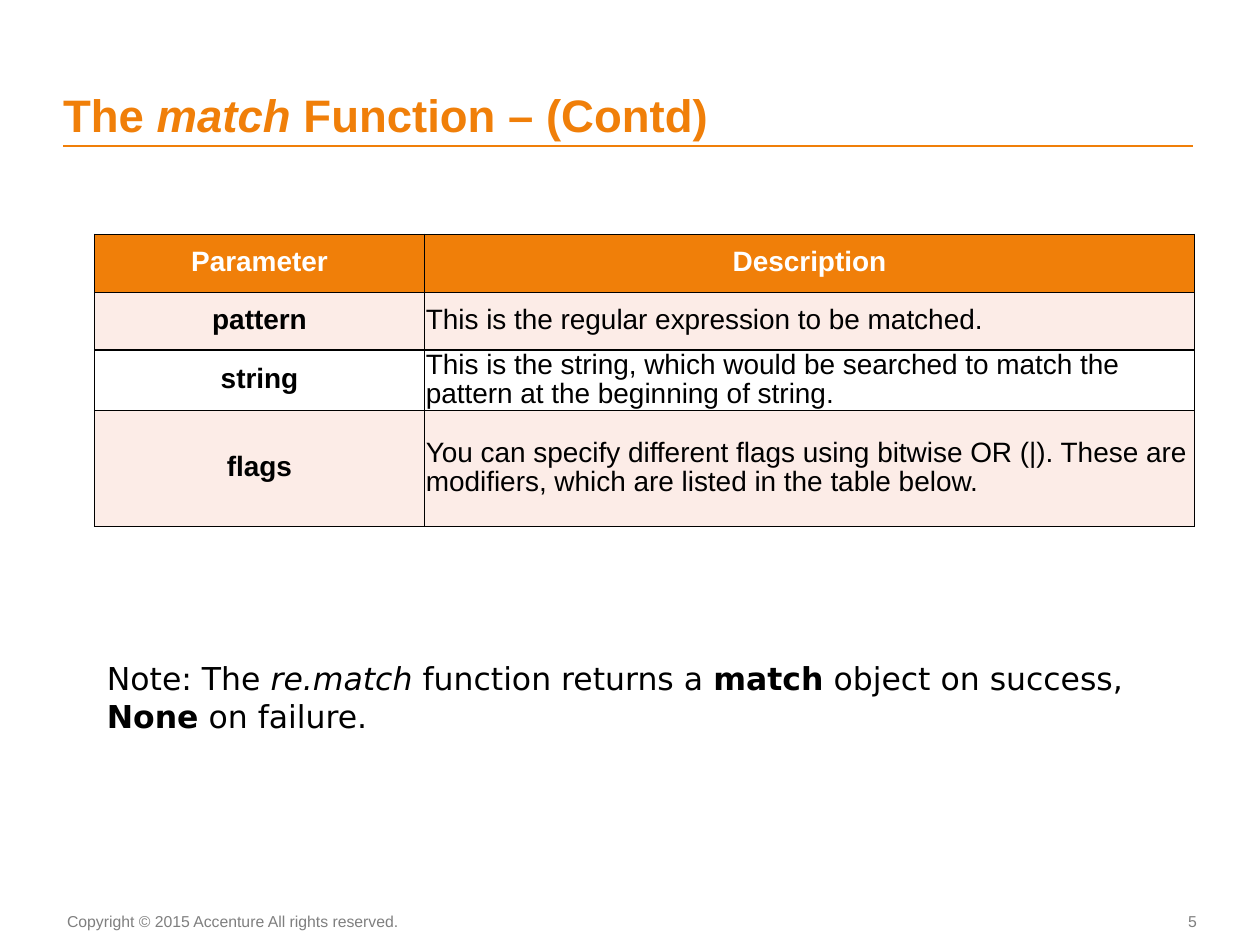
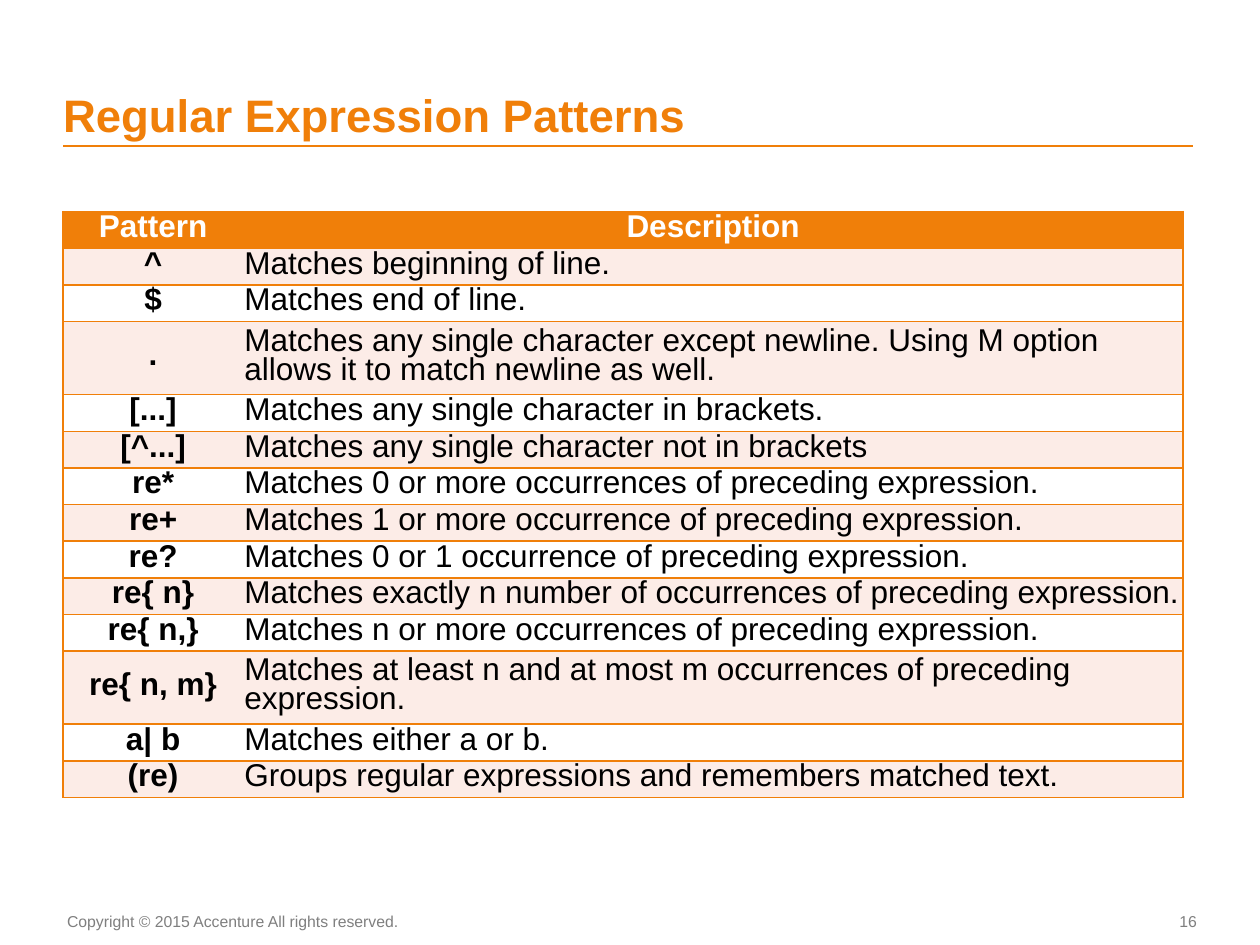
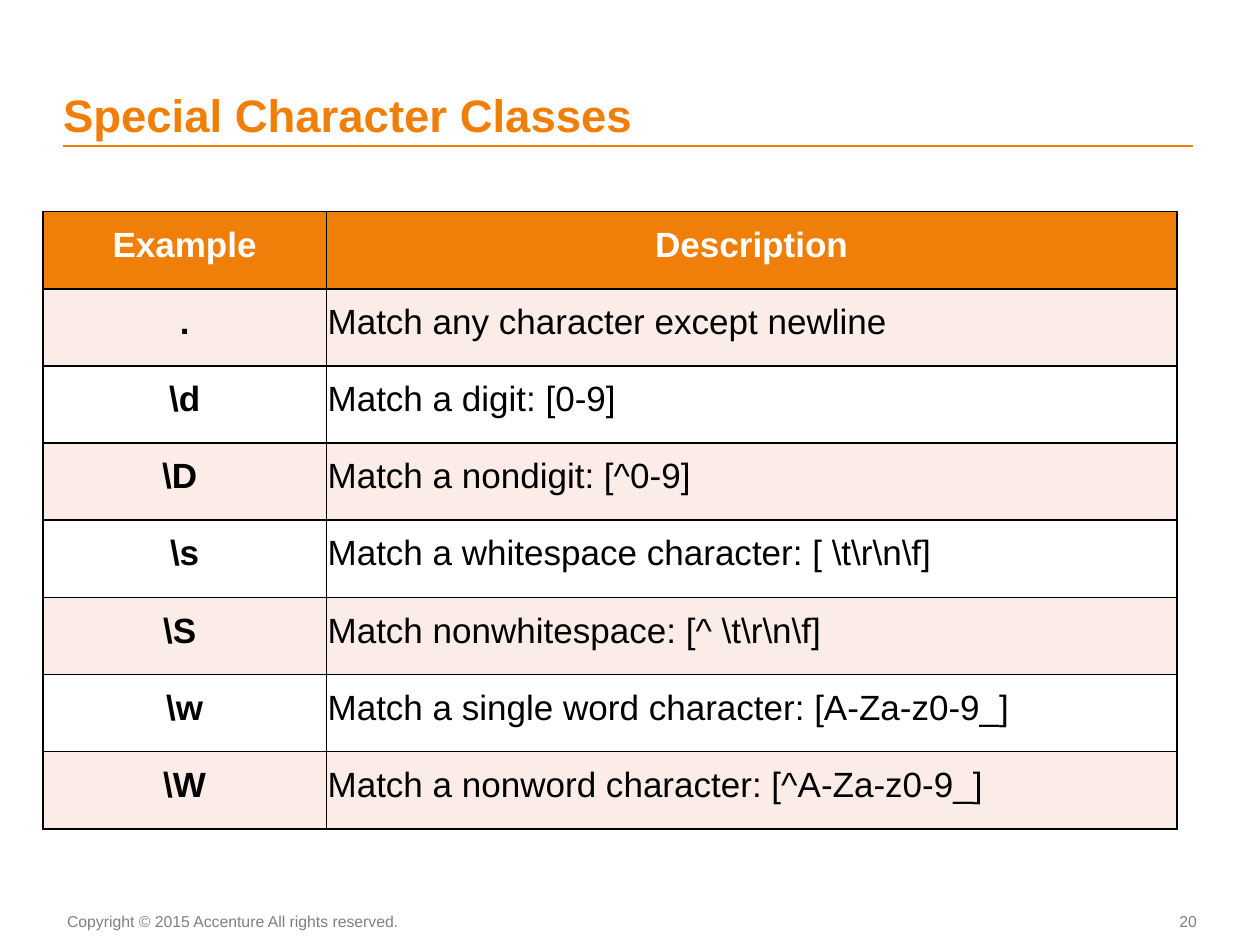
"""Build three slides about regular expressions in Python."""
import dataclasses

import pptx
import pptx.dml.color
import pptx.enum.shapes
import pptx.enum.text
import pptx.oxml
import pptx.oxml.ns
import pptx.util

Inches = pptx.util.Inches
Pt = pptx.util.Pt
Align = pptx.enum.text.PP_ALIGN
Anchor = pptx.enum.text.MSO_ANCHOR
AutoSize = pptx.enum.text.MSO_AUTO_SIZE
NAMESPACE = pptx.oxml.ns.nsdecls("a")


@dataclasses.dataclass(frozen=True)
class Theme:
    accent: str = "F07F09"
    band: str = "FCECE7"
    white: str = "FFFFFF"
    black: str = "000000"
    grey: str = "7F7F7F"
    font: str = "Arial"
    note_font: str = "DejaVu Sans"
    title_size: float = 26
    note_size: float = 18
    footer_size: float = 9
    table_leading: float = 16.5
    table_gap: float = 15


def write(frame, text, align=Align.LEFT, leading=None, gap=None, font="Arial",
          size=18, color="000000", bold=False):
    para = frame.paragraphs[0]
    para.alignment = align
    if leading:
        para.line_spacing = Pt(leading)
    if gap:
        para.space_after = Pt(gap)
    pieces = [(text, "")] if isinstance(text, str) else text
    for words, emphasis in pieces:
        span = para.add_run()
        span.text = words
        span.font.name = font
        span.font.size = Pt(size)
        span.font.bold = bold or emphasis == "bold"
        span.font.italic = emphasis == "italic"
        span.font.color.rgb = pptx.dml.color.RGBColor.from_string(color)


class Deck:
    def __init__(self, theme):
        self.theme = theme
        self.deck = pptx.Presentation()
        self.deck.slide_width = Inches(10)
        self.deck.slide_height = Inches(7.5)
        self.page = None

    def start_page(self, title, number):
        theme = self.theme
        self.page = self.deck.slides.add_slide(self.deck.slide_layouts[5])
        self.add_text(0.49, 7.19, 2.81, 0.25,
                      "Copyright © 2015 Accenture All rights reserved.",
                      margins=(0, 0.05, 0.1, 0.05), grow=True,
                      align=Align.CENTER, size=theme.footer_size, color=theme.grey)
        self.add_rule(0.5, 9.47, 1.16)
        self.add_text(8.91, 7.18, 0.59, 0.27, str(number),
                      margins=(0, 0, 0, 0), anchor=Anchor.MIDDLE,
                      align=Align.RIGHT, size=theme.footer_size, color=theme.grey)
        self.add_title(title)

    def add_title(self, text):
        theme = self.theme
        box = self.page.shapes.title
        self.place(box, 0.5, 0.19, 8.97, 0.93)
        self.set_frame(box.text_frame, (0, 0, 0, 0), Anchor.BOTTOM, False)
        write(box.text_frame, text, leading=theme.title_size, font=theme.font,
              size=theme.title_size, color=theme.accent, bold=True)

    def place(self, shape, left, top, width, height):
        shape.left, shape.top = Inches(left), Inches(top)
        shape.width, shape.height = Inches(width), Inches(height)

    def set_frame(self, frame, margins, anchor, grow):
        frame.word_wrap = True
        frame.auto_size = AutoSize.SHAPE_TO_FIT_TEXT if grow else AutoSize.NONE
        frame.vertical_anchor = anchor
        (frame.margin_left, frame.margin_top,
         frame.margin_right, frame.margin_bottom) = map(Inches, margins)

    def add_text(self, left, top, width, height, text,
                 margins=(0.1, 0.05, 0.1, 0.05), anchor=Anchor.TOP,
                 grow=False, **style):
        box = self.page.shapes.add_textbox(
            Inches(left), Inches(top), Inches(width), Inches(height))
        self.set_frame(box.text_frame, margins, anchor, grow)
        write(box.text_frame, text, **style)

    def add_rule(self, left, right, top):
        rule = self.page.shapes.add_connector(
            pptx.enum.shapes.MSO_CONNECTOR.STRAIGHT,
            Inches(left), Inches(top), Inches(right), Inches(top))
        rule.line.color.rgb = pptx.dml.color.RGBColor.from_string(self.theme.accent)
        rule.line.width = Pt(1.5)
        properties = rule._element.spPr
        properties.append(pptx.oxml.parse_xml(f"<a:effectLst {NAMESPACE}/>"))

    def add_borders(self, cell, color, sides):
        properties = cell._tc.get_or_add_tcPr()
        for index, side in enumerate("LRTB"):
            paint = (f'<a:solidFill><a:srgbClr val="{color}"/></a:solidFill>'
                     if side in sides else "<a:noFill/>")
            properties.insert(index, pptx.oxml.parse_xml(
                f'<a:ln{side} {NAMESPACE} w="12700">{paint}</a:ln{side}>'))

    def add_table(self, left, top, height, columns, rows, size, border,
                  tall_rows=(), inner_vertical=True):
        theme = self.theme
        table = self.page.shapes.add_table(
            len(rows), len(columns), Inches(left), Inches(top),
            Inches(sum(columns)), Inches(height)).table
        table.first_row = table.horz_banding = False
        for column, width in zip(table.columns, columns):
            column.width = Inches(width)
        unit = height / (len(rows) + len(tall_rows))
        for row_index, texts in enumerate(rows):
            table.rows[row_index].height = Inches(
                unit * (2 if row_index in tall_rows else 1))
            header = row_index == 0
            fill = theme.accent if header else (theme.white, theme.band)[row_index % 2]
            for column_index, text in enumerate(texts):
                cell = table.cell(row_index, column_index)
                label = header or column_index == 0
                cell.fill.solid()
                cell.fill.fore_color.rgb = pptx.dml.color.RGBColor.from_string(fill)
                cell.vertical_anchor = Anchor.MIDDLE
                cell.margin_left = cell.margin_right = Inches(0.01)
                cell.margin_top = cell.margin_bottom = Inches(0.01)
                outer = "LTB" if column_index == 0 else "RTB"
                self.add_borders(cell, border, "LRTB" if inner_vertical else outer)
                write(cell.text_frame, text,
                      align=Align.CENTER if label else Align.LEFT,
                      leading=theme.table_leading, gap=theme.table_gap,
                      font=theme.font, size=size, bold=label,
                      color=theme.white if header else theme.black)


PARAMETERS = [
    ("Parameter", "Description"),
    ("pattern", "This is the regular expression to be matched."),
    ("string", "This is the string, which would be searched to match the "
               "pattern at the beginning of string."),
    ("flags", "You can specify different flags using bitwise OR (|). These are "
              "modifiers, which are listed in the table below."),
]

PATTERNS = [
    ("Pattern", "Description"),
    ("^", "Matches beginning of line."),
    ("$", "Matches end of line."),
    (".", "Matches any single character except newline. Using M option "
          "allows it to match newline as well."),
    ("[...]", "Matches any single character in brackets."),
    ("[^...]", "Matches any single character not in brackets"),
    ("re*", "Matches 0 or more occurrences of preceding expression."),
    ("re+", "Matches 1 or more occurrence of preceding expression."),
    ("re?", "Matches 0 or 1 occurrence of preceding expression."),
    ("re{ n}", "Matches exactly n number of occurrences of preceding expression."),
    ("re{ n,}", "Matches n or more occurrences of preceding expression."),
    ("re{ n, m}", "Matches at least n and at most m occurrences of preceding "
                  "expression."),
    ("a| b", "Matches either a or b."),
    ("(re)", "Groups regular expressions and remembers matched text."),
]

CHARACTER_CLASSES = [
    ("Example", "Description"),
    (".", "Match any character except newline"),
    (r"\d", "Match a digit: [0-9]"),
    (r"\D ", "Match a nondigit: [^0-9]"),
    (r"\s", r"Match a whitespace character: [ \t\r\n\f]"),
    (r"\S ", r"Match nonwhitespace: [^ \t\r\n\f]"),
    (r"\w", "Match a single word character: [A-Za-z0-9_]"),
    (r"\W", "Match a nonword character: [^A-Za-z0-9_]"),
]


def main():
    theme = Theme()
    deck = Deck(theme)

    deck.start_page([("The ", ""), ("match", "italic"), (" Function – (Contd)", "")], 5)
    deck.add_table(0.75, 1.86, 2.3, (2.62, 6.11), PARAMETERS, 16, theme.black,
                   tall_rows=(3,))
    deck.add_text(0.75, 5.18, 8.73, 0.71,
                  [("Note: The ", ""), ("re.match", "italic"),
                   (" function returns a ", ""), ("match", "bold"),
                   (" object on success, ", ""), ("None", "bold"),
                   (" on failure.", "")],
                  grow=True, font=theme.note_font, size=theme.note_size)

    deck.start_page("Regular Expression Patterns", 16)
    deck.add_table(0.5, 1.68, 4.65, (1.43, 7.46), PATTERNS, 18, theme.accent,
                   tall_rows=(3, 11), inner_vertical=False)

    deck.start_page("Special Character Classes", 20)
    deck.add_table(0.34, 1.68, 4.9, (2.25, 6.75), CHARACTER_CLASSES, 20, theme.black)

    deck.deck.save("out.pptx")


if __name__ == "__main__":
    main()
